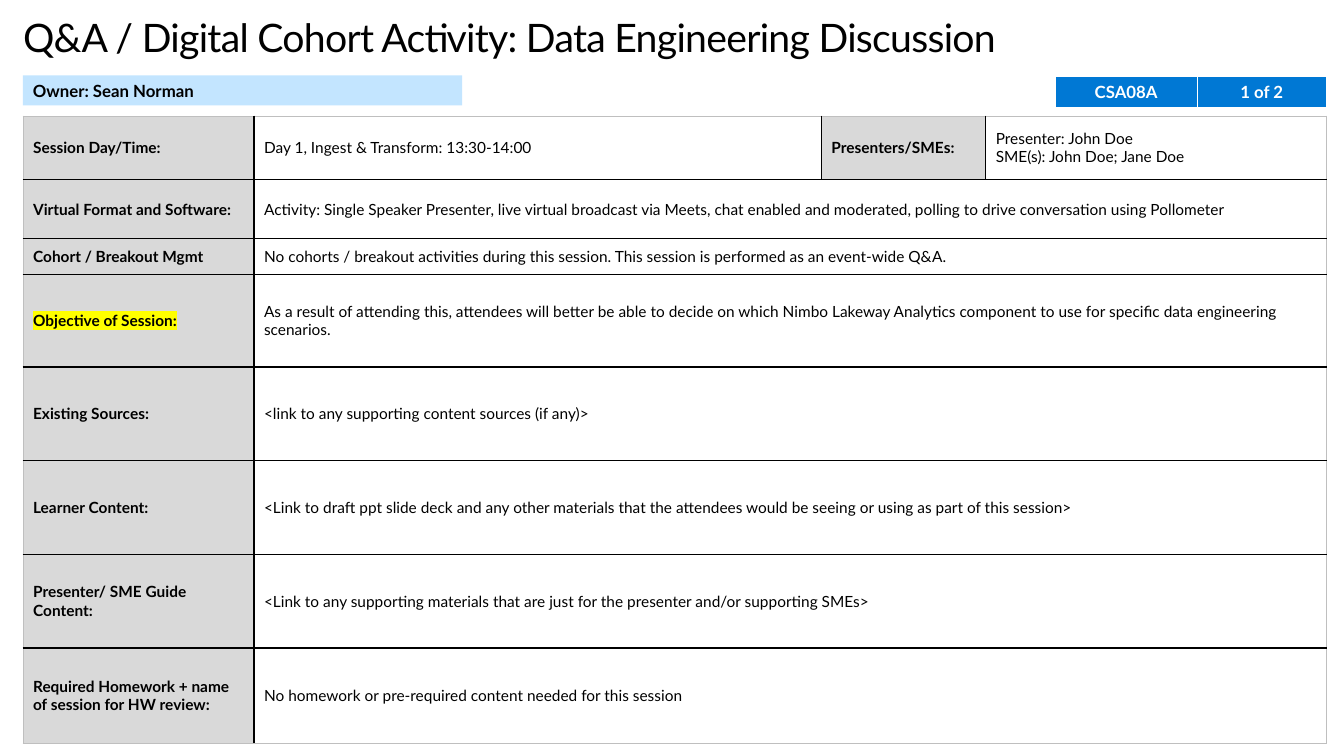
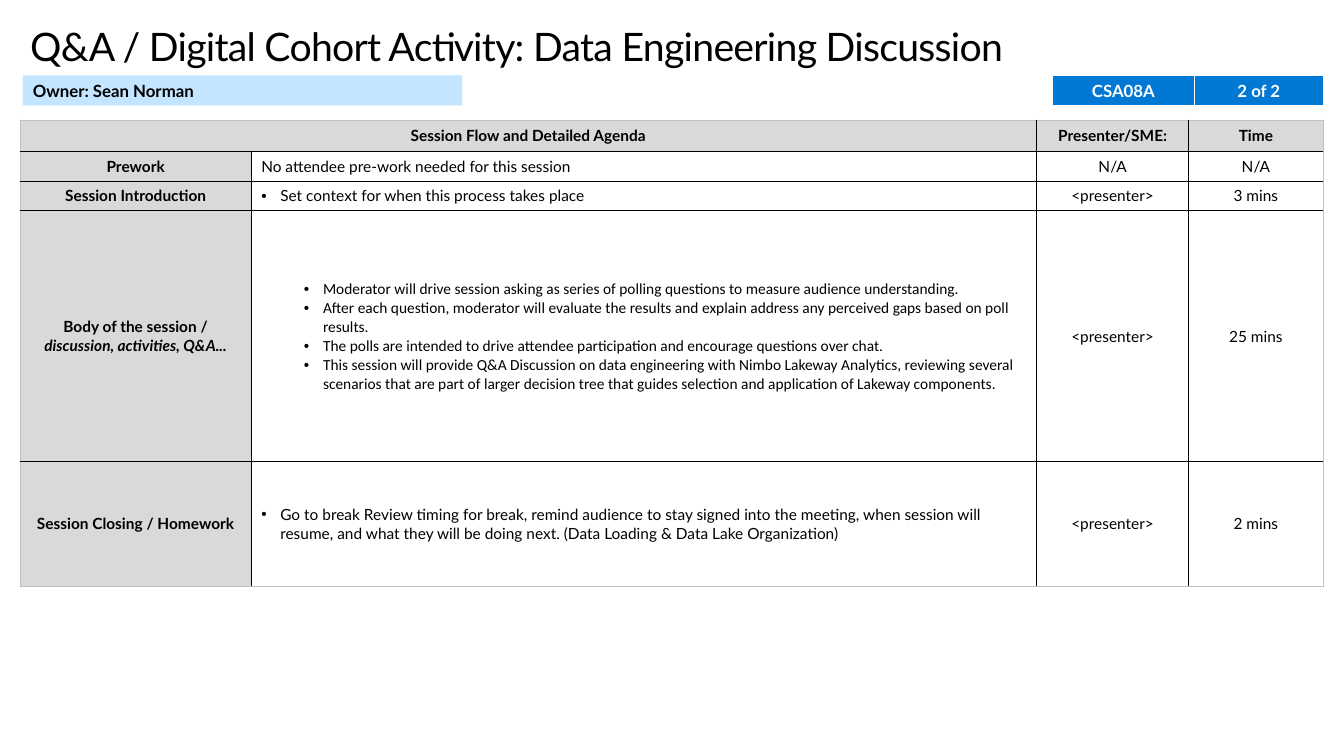
from lxml import etree
from pptx import Presentation
from pptx.dml.color import RGBColor
from pptx.enum.shapes import MSO_SHAPE
from pptx.enum.text import MSO_ANCHOR, MSO_AUTO_SIZE, PP_ALIGN
from pptx.oxml.ns import qn
from pptx.util import Cm, Pt

RECT = MSO_SHAPE.RECTANGLE
MIDDLE = MSO_ANCHOR.MIDDLE
LEFT, CENTER = PP_ALIGN.LEFT, PP_ALIGN.CENTER
NO_FIT = MSO_AUTO_SIZE.NONE
TITLE_ONLY = 5

C = {"ink": "000000", "paper": "FFFFFF", "label": "D9D9D9", "frame": "BFBFBF",
     "owner": "C3E5FF", "badge": "0078D4", "mark": "FFFF00"}
FONT = "Lato"

# Content
TITLE = "Q&A / Digital Cohort Activity: Data Engineering Discussion"
OWNER = "Owner: Sean Norman"
SESSION_CODE = "CSA08A"

# A cell is (kind, paragraph, ...); a row shorter than the grid is merged
OVERVIEW = [
    [("label", "Session Day/Time:"),
     ("text", "Day 1, Ingest & Transform: 13:30-14:00"),
     ("label", "Presenters/SMEs:"),
     ("text", "Presenter: John Doe", "SME(s): John Doe; Jane Doe")],
    [("label", "Virtual Format and Software:"),
     ("text", "Activity: Single Speaker Presenter, live virtual broadcast via Meets, "
      "chat enabled and moderated, polling to drive conversation using Pollometer")],
    [("label", "Cohort / Breakout Mgmt"),
     ("text", "No cohorts / breakout activities during this session. "
      "This session is performed as an event-wide Q&A.")],
    [("marked", "Objective of Session:"),
     ("text", "As a result of attending this, attendees will better be able to decide on "
      "which Nimbo Lakeway Analytics component to use for specific data engineering "
      "scenarios.")],
    [("label", "Existing Sources:"),
     ("text", "<link to any supporting content sources (if any)>")],
    [("label", "Learner Content:"),
     ("text", "<Link to draft ppt slide deck and any other materials that the attendees "
      "would be seeing or using as part of this session>")],
    [("label", "Presenter/ SME Guide Content:"),
     ("text", "<Link to any supporting materials that are just for the presenter "
      "and/or supporting SMEs>")],
    [("label", "Required Homework + name of session for HW review:"),
     ("text", "No homework or pre-required content needed for this session")],
]
AGENDA = [
    [("head", "Session Flow and Detailed Agenda"), ("head", "Presenter/SME:"),
     ("head", "Time")],
    [("head", "Prework"), ("text", "No attendee pre-work needed for this session"),
     ("center", "N/A"), ("center", "N/A")],
    [("head", "Session Introduction"),
     ("bullet", "Set context for when this process takes place"),
     ("center", "<presenter>"), ("center", "3 mins")],
    [("head", "Body of the session /\vdiscussion, activities, Q&A..."),
     ("body",
      "Moderator will drive session asking as series of polling questions to measure "
      "audience understanding.",
      "After each question, moderator will evaluate the results and explain address any "
      "perceived gaps based on poll results.",
      "The polls are intended to drive attendee participation and encourage questions "
      "over chat.",
      "This session will provide Q&A Discussion on data engineering with Nimbo Lakeway "
      "Analytics, reviewing several scenarios that are part of larger decision tree that "
      "guides selection and application of Lakeway components."),
     ("center", "<presenter>"), ("center", "25 mins")],
    [("head", "Session Closing / Homework"),
     ("bullet", "Go to break Review timing for break, remind audience to stay signed into "
      "the meeting, when session will resume, and what they will be doing next. "
      "(Data Loading & Data Lake Organization)"),
     ("center", "<presenter>"), ("center", "2 mins")],
]

# Cell kinds: what differs from the plain left-aligned text cell
PLAIN = {"fill": "paper", "color": "ink", "bold": False, "align": LEFT, "size": 11,
         "font": FONT, "indent": 0, "mark": False, "tight": False}
LABEL = {"fill": "label", "bold": True}
KINDS = {
    "text": {},
    "label": LABEL,
    "marked": {**LABEL, "mark": True},
    "head": {**LABEL, "align": CENTER},
    "center": {"align": CENTER},
    "bullet": {"indent": 0.48},
    "body": {"indent": 1.78, "font": "Calibri", "tight": True},
    "badge": {"fill": "badge", "color": "paper", "bold": True, "align": CENTER,
              "size": 12},
}
HANGING = 0.48

# One entry per slide, lengths in centimetres
SLIDES = [
    {"title": (0.58, 0.33), "badge": (26.59, 1.93), "table": (0.58, 2.92),
     "content": OVERVIEW, "cols": [5.82, 14.3, 4.14, 8.59],
     "rows": [1.6, 1.5, 0.89, 2.34, 2.36, 2.36, 2.36, 2.39], "merge_at": 1},
    {"title": (0.76, 0.56), "badge": (26.52, 1.9), "table": (0.51, 3.02),
     "content": AGENDA, "cols": [5.82, 19.79, 3.84, 3.38],
     "rows": [0.79, 0.76, 0.74, 6.32, 3.15], "merge_at": 0},
]


def rgb(name):
    return RGBColor.from_string(C[name])


def style_font(font, size, color, bold=False, name=FONT):
    font.name, font.size, font.bold = name, Pt(size), bold
    font.color.rgb = rgb(color)


def add_solid(parent, tag, color):
    el = etree.SubElement(parent, qn(tag))
    etree.SubElement(el, qn("a:srgbClr"), val=C[color])
    return el


def set_borders(cell, edges):
    """edges: (colour, points) for left, right, top and bottom."""
    tc_pr = cell._tc.get_or_add_tcPr()
    for i, (side, (color, width)) in enumerate(zip("LRTB", edges)):
        ln = etree.Element(qn(f"a:ln{side}"), w=str(Pt(width)))
        add_solid(ln, "a:solidFill", color)
        tc_pr.insert(i, ln)


def add_bullet(p, indent):
    p_pr = p._p.get_or_add_pPr()
    p_pr.set("marL", str(Cm(indent)))
    p_pr.set("indent", str(-Cm(HANGING)))
    bullet_font = etree.Element(qn("a:buFont"), typeface="Arial")
    bullet = etree.Element(qn("a:buChar"), char="•")
    p_pr.insert(0, bullet_font)
    p_pr.insert(1, bullet)


def fill_cell(cell, kind, paragraphs):
    k = {**PLAIN, **KINDS[kind]}
    cell.fill.solid()
    cell.fill.fore_color.rgb = rgb(k["fill"])
    cell.vertical_anchor = MIDDLE
    if k["tight"]:
        cell.margin_left = cell.margin_right = cell.margin_top = Cm(0.03)
        cell.margin_bottom = 0
    tf = cell.text_frame
    for i, text in enumerate(paragraphs):
        p = tf.add_paragraph() if i else tf.paragraphs[0]
        p.text = text
        p.alignment = k["align"]
        style_font(p.font, k["size"], k["color"], k["bold"], k["font"])
        if k["indent"]:
            add_bullet(p, k["indent"])
        for r in p.runs[1:]:  # a second line in a label is italic
            r.font.italic = True
        if k["mark"]:
            add_solid(p.runs[0]._r.get_or_add_rPr(), "a:highlight", "mark")


def add_grid(slide, at, cols, rows, content, inner, outer, merge_at=0):
    left, top = at
    frame = slide.shapes.add_table(len(rows), len(cols), Cm(left), Cm(top),
                                   Cm(sum(cols)), Cm(sum(rows)))
    table = frame.table
    table.first_row = table.horz_banding = False
    for column, width in zip(table.columns, cols):
        column.width = Cm(width)
    for row, height in zip(table.rows, rows):
        row.height = Cm(height)

    last_row, last_col = len(rows) - 1, len(cols) - 1
    for y, cells in enumerate(content):
        extra = len(cols) - len(cells)
        x = 0
        for i, (kind, *paragraphs) in enumerate(cells):
            end = x + (extra if i == merge_at else 0)
            if end > x:
                table.cell(y, x).merge(table.cell(y, end))
            fill_cell(table.cell(y, x), kind, paragraphs)
            on_frame = (x == 0, end == last_col, y == 0, y == last_row)
            for col in range(x, end + 1):
                set_borders(table.cell(y, col),
                            [outer if edge else inner for edge in on_frame])
            x = end + 1


def add_title(slide, at):
    sp = slide.shapes.title
    sp.left, sp.top = map(Cm, at)
    sp.width, sp.height = Cm(32.6), Cm(1.2)
    tf = sp.text_frame
    tf.margin_left = tf.margin_right = tf.margin_top = tf.margin_bottom = 0
    tf.word_wrap, tf.auto_size, tf.vertical_anchor = True, NO_FIT, MIDDLE
    p = tf.paragraphs[0]
    p.text = TITLE
    p.alignment = LEFT
    style_font(p.font, 28, "ink")
    p.runs[0]._r.get_or_add_rPr().set("spc", "-50")


def add_owner(slide):
    sp = slide.shapes.add_shape(RECT, Cm(0.58), Cm(1.9), Cm(11.07), Cm(0.76))
    sp.shadow.inherit = False
    sp.fill.solid()
    sp.fill.fore_color.rgb = rgb("owner")
    sp.line.fill.background()
    tf = sp.text_frame
    tf.word_wrap, tf.vertical_anchor = True, MIDDLE
    p = tf.paragraphs[0]
    p.text = OWNER
    p.alignment = LEFT
    style_font(p.font, 12, "ink", True)


def main():
    prs = Presentation()
    prs.slide_width, prs.slide_height = Cm(33.87), Cm(19.05)
    for number, s in enumerate(SLIDES, 1):
        slide = prs.slides.add_slide(prs.slide_layouts[TITLE_ONLY])
        add_title(slide, s["title"])
        add_owner(slide)
        # Session code and page count
        badge = [[("badge", SESSION_CODE), ("badge", f"{number} of {len(SLIDES)}")]]
        add_grid(slide, s["badge"], [3.58, 3.25], [0.77], badge,
                 ("paper", 1), ("paper", 1))
        # Main table
        add_grid(slide, s["table"], s["cols"], s["rows"], s["content"],
                 ("ink", 1), ("frame", 0.5), s["merge_at"])
    prs.save("out.pptx")


if __name__ == "__main__":
    main()
